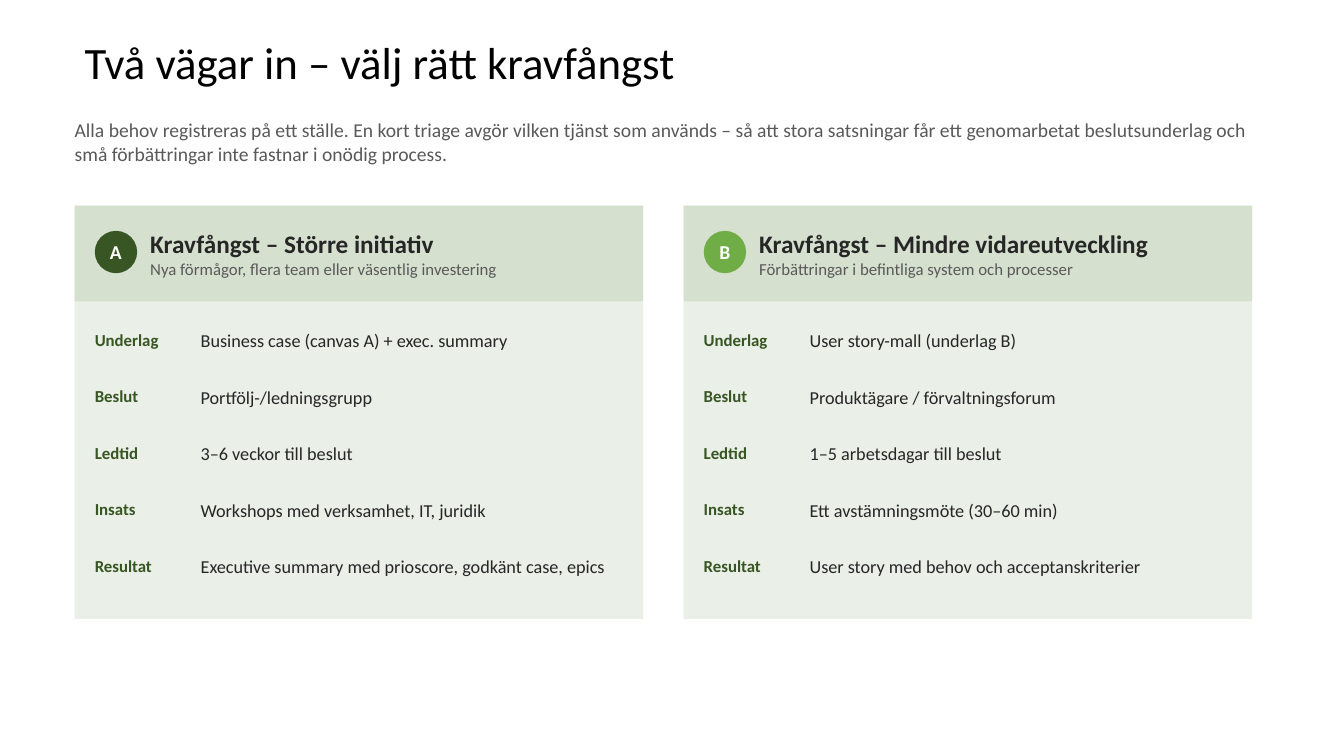
from pptx import Presentation
from pptx.dml.color import RGBColor
from pptx.enum.shapes import MSO_SHAPE
from pptx.enum.text import MSO_ANCHOR, PP_ALIGN
from pptx.util import Inches, Pt

RECTANGLE, OVAL = MSO_SHAPE.RECTANGLE, MSO_SHAPE.OVAL
TOP, MIDDLE = MSO_ANCHOR.TOP, MSO_ANCHOR.MIDDLE
LEFT, CENTER = PP_ALIGN.LEFT, PP_ALIGN.CENTER

BLACK = RGBColor(0x00, 0x00, 0x00)
WHITE = RGBColor(0xFF, 0xFF, 0xFF)
INK = RGBColor(0x26, 0x26, 0x26)
GREY = RGBColor(0x59, 0x59, 0x59)
DARK_GREEN = RGBColor(0x37, 0x56, 0x23)
GREEN = RGBColor(0x70, 0xAD, 0x47)
PANEL = RGBColor(0xEA, 0xEF, 0xE7)
BAND = RGBColor(0xD5, 0xE0, 0xCF)
FONT = "Calibri"

TITLE = "Två vägar in – välj rätt kravfångst"
INTRO = (
    "Alla behov registreras på ett ställe. En kort triage avgör vilken tjänst "
    "som används – så att stora satsningar får ett genomarbetat "
    "beslutsunderlag och små förbättringar inte fastnar i onödig process."
)
LABELS = ["Underlag", "Beslut", "Ledtid", "Insats", "Resultat"]
PATHS = [
    ("A", DARK_GREEN, "Kravfångst – Större initiativ",
     "Nya förmågor, flera team eller väsentlig investering",
     ["Business case (canvas A) + exec. summary",
      "Portfölj-/ledningsgrupp",
      "3–6 veckor till beslut",
      "Workshops med verksamhet, IT, juridik",
      "Executive summary med prioscore, godkänt case, epics"]),
    ("B", GREEN, "Kravfångst – Mindre vidareutveckling",
     "Förbättringar i befintliga system och processer",
     ["User story-mall (underlag B)",
      "Produktägare / förvaltningsforum",
      "1–5 arbetsdagar till beslut",
      "Ett avstämningsmöte (30–60 min)",
      "User story med behov och acceptanskriterier"]),
]

SLIDE_W, SLIDE_H = 13.33, 7.5
MARGIN = 0.74
CONTENT_W = 11.68
GUTTER = 0.4
CARD_W = (CONTENT_W - GUTTER) / 2
CARD_TOP, CARD_H, BAND_H = 2.04, 4.1, 0.95
PAD = 0.2
BADGE = 0.42
HEADING_X, HEADING_W, HEADING_H = 0.75, 4.74, 0.8
LABEL_W, VALUE_X = 1, 1.25
ROW_TOP, ROW_STEP, ROW_H = CARD_TOP + BAND_H + PAD, 0.56, 0.5

prs = Presentation()
prs.slide_width, prs.slide_height = Inches(SLIDE_W), Inches(SLIDE_H)
slide = prs.slides.add_slide(prs.slide_layouts[6])


def write(holder, lines, anchor=TOP, align=LEFT, inset=0.0, inset_y=0.08):
    frame = holder.text_frame
    frame.word_wrap = True
    frame.vertical_anchor = anchor
    frame.margin_left = frame.margin_right = Inches(inset)
    frame.margin_top = frame.margin_bottom = Inches(inset_y)
    for index, (text, size, color, bold) in enumerate(lines):
        line = frame.add_paragraph() if index else frame.paragraphs[0]
        line.text = text
        line.alignment = align
        line.font.name = FONT
        line.font.size = Pt(size)
        line.font.color.rgb = color
        line.font.bold = bold


def add_text(x, y, w, h, lines, **layout):
    box = slide.shapes.add_textbox(Inches(x), Inches(y), Inches(w), Inches(h))
    write(box, lines, **layout)
    return box


def add_block(preset, x, y, w, h, color):
    block = slide.shapes.add_shape(preset, Inches(x), Inches(y), Inches(w), Inches(h))
    block.shadow.inherit = False
    block.fill.solid()
    block.fill.fore_color.rgb = color
    block.line.fill.background()
    return block


def add_card(x, letter, accent, heading, tagline, values):
    add_block(RECTANGLE, x, CARD_TOP, CARD_W, CARD_H, PANEL)
    add_block(RECTANGLE, x, CARD_TOP, CARD_W, BAND_H, BAND)
    badge = add_block(OVAL, x + PAD, CARD_TOP + 0.25, BADGE, BADGE, accent)
    write(badge, [(letter, 14, WHITE, True)], anchor=MIDDLE, align=CENTER)
    add_text(x + HEADING_X, CARD_TOP + (BAND_H - HEADING_H) / 2, HEADING_W, HEADING_H,
             [(heading, 18, INK, True), (tagline, 12, GREY, False)], anchor=MIDDLE)
    for row, (label, value) in enumerate(zip(LABELS, values)):
        y = ROW_TOP + row * ROW_STEP
        add_text(x + PAD, y, LABEL_W, ROW_H, [(label, 12, DARK_GREEN, True)])
        add_text(x + VALUE_X, y, CARD_W - VALUE_X - PAD, ROW_H,
                 [(value, 13, INK, False)])


title = add_text(MARGIN, 0.4, CONTENT_W, 0.49, [(TITLE, 32, BLACK, False)],
                 anchor=MIDDLE, inset=0.1, inset_y=0.05)
title.text_frame.paragraphs[0].line_spacing = 0.9
add_text(MARGIN, 1.09, CONTENT_W, 0.75, [(INTRO, 14, GREY, False)])
for column, card in enumerate(PATHS):
    add_card(MARGIN + column * (CARD_W + GUTTER), *card)

prs.save("out.pptx")
